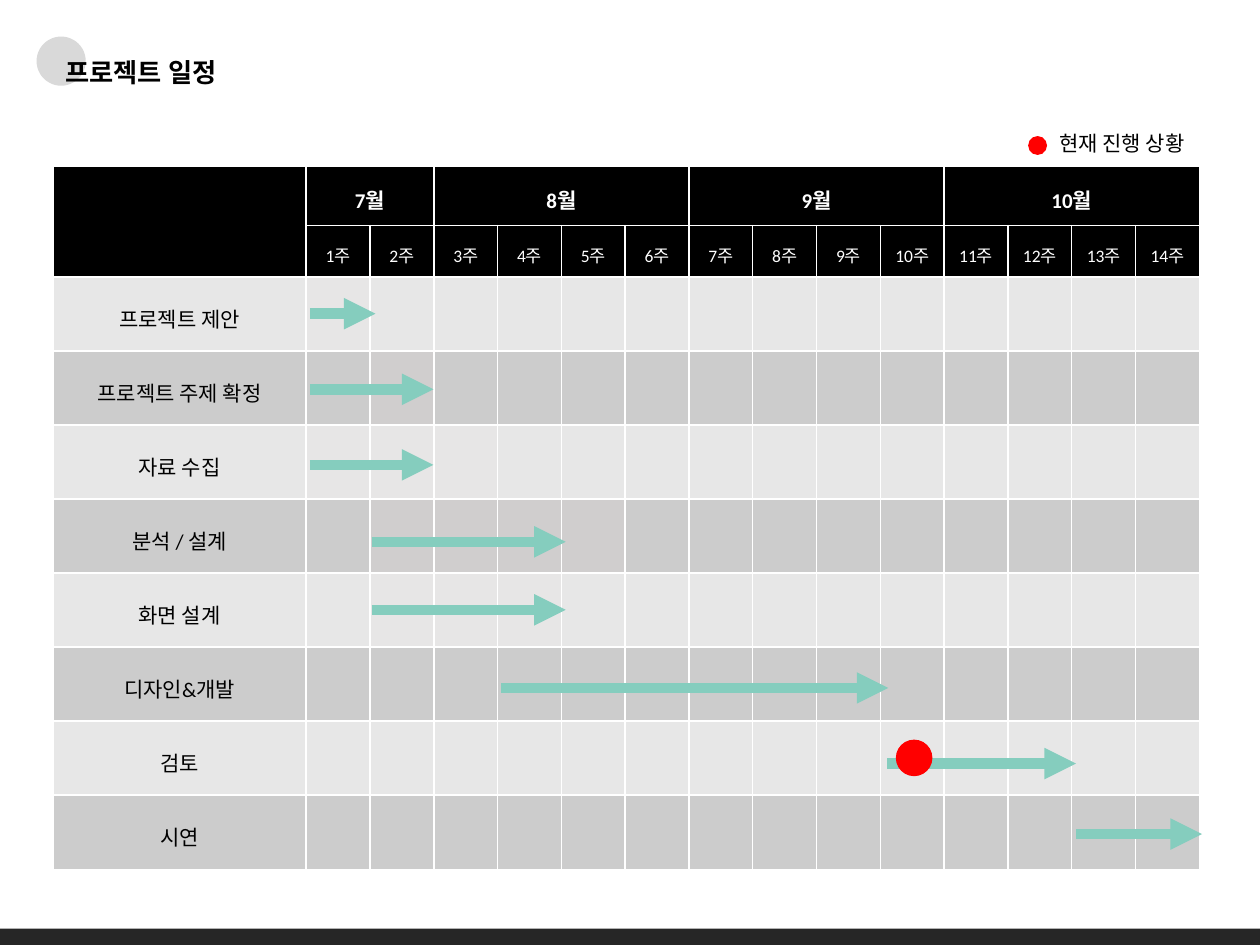
from lxml.etree import SubElement
from pptx import Presentation
from pptx.dml.color import RGBColor
from pptx.enum.shapes import MSO_CONNECTOR, MSO_SHAPE
from pptx.enum.text import MSO_ANCHOR, MSO_AUTO_SIZE, PP_ALIGN
from pptx.oxml.ns import qn
from pptx.util import Inches, Pt

BLACK = RGBColor(0x00, 0x00, 0x00)
WHITE = RGBColor(0xFF, 0xFF, 0xFF)
RED = RGBColor(0xFF, 0x00, 0x00)
TEAL = RGBColor(0x85, 0xCD, 0xBE)
DOT_GRAY = RGBColor(0xD9, 0xD9, 0xD9)
FOOTER_GRAY = RGBColor(0x26, 0x26, 0x26)
# Plain and tinted fill of the alternating task rows
ROW_FILLS = [
    (RGBColor(0xE7, 0xE7, 0xE7), RGBColor(0xE7, 0xE6, 0xE6)),
    (RGBColor(0xCC, 0xCC, 0xCC), RGBColor(0xD0, 0xCE, 0xCE)),
]

WEEKS = 14
MONTHS = [("7월", 2), ("8월", 4), ("9월", 4), ("10월", 4)]
# Task, tinted weeks, arrow start, arrow end, arrow height on the page
TASKS = [
    ("프로젝트 제안", range(1, 2), 2.46, 2.98, 2.49),
    ("프로젝트 주제 확정", range(2, 3), 2.46, 3.44, 3.09),
    ("자료 수집", range(1, 4), 2.46, 3.44, 3.69),
    ("분석 / 설계", range(2, 6), 2.95, 4.49, 4.3),
    ("화면 설계", range(2, 5), 2.95, 4.49, 4.84),
    ("디자인&개발", range(0), 3.98, 7.05, 5.46),
    ("검토", range(0), 7.04, 8.54, 6.06),
    ("시연", range(0), 8.54, 9.54, 6.62),
]
TABLE_WIDTH, TABLE_HEIGHT = 9.1, 5.58
TASK_WIDTH = 2.01
HEADER_HEIGHTS = [0.47, 0.41]


class ScheduleSlide:
    heading_font = "Arial"
    body_font = "Calibri"

    def __init__(self, page):
        self.page = page

    def add_span(self, para, text, size, color=BLACK, bold=False, font=body_font):
        span = para.add_run()
        span.text = text
        span.font.name = font
        span.font.size = Pt(size)
        span.font.bold = bold
        span.font.color.rgb = color

    def title(self, text, left, top, width, height):
        box = self.page.shapes.title
        box.left, box.top = Inches(left), Inches(top)
        box.width, box.height = Inches(width), Inches(height)
        frame = box.text_frame
        frame.auto_size = MSO_AUTO_SIZE.NONE
        frame.vertical_anchor = MSO_ANCHOR.BOTTOM
        para = frame.paragraphs[0]
        para.alignment = PP_ALIGN.LEFT
        para.line_spacing = 0.9
        self.add_span(para, text, 15, bold=True, font=self.heading_font)
        return box

    def shape(self, kind, left, top, width, height, color):
        shape = self.page.shapes.add_shape(
            kind, Inches(left), Inches(top), Inches(width), Inches(height))
        shape.shadow.inherit = False
        shape.fill.solid()
        shape.fill.fore_color.rgb = color
        shape.line.fill.background()
        return shape

    def label(self, text, left, top, width, height):
        box = self.page.shapes.add_textbox(
            Inches(left), Inches(top), Inches(width), Inches(height))
        frame = box.text_frame
        frame.word_wrap = True
        frame.auto_size = MSO_AUTO_SIZE.SHAPE_TO_FIT_TEXT
        self.add_span(frame.paragraphs[0], text, 12)

    def arrow(self, start, end, height):
        arrow = self.page.shapes.add_connector(
            MSO_CONNECTOR.STRAIGHT,
            Inches(start), Inches(height), Inches(end), Inches(height))
        arrow.line.color.rgb = TEAL
        arrow.line.width = Pt(6)
        properties = arrow.element.spPr
        SubElement(properties.get_or_add_ln(), qn("a:tailEnd"), type="triangle")
        SubElement(properties, qn("a:effectLst"))

    def cell(self, cell, fill, text="", size=12, color=BLACK, bold=False):
        properties = cell._tc.get_or_add_tcPr()
        for side in ("a:lnL", "a:lnR", "a:lnT", "a:lnB"):
            border = SubElement(properties, qn(side), w=str(int(Pt(1))))
            paint = SubElement(border, qn("a:solidFill"))
            SubElement(paint, qn("a:srgbClr"), val=str(WHITE))
        cell.fill.solid()
        cell.fill.fore_color.rgb = fill
        cell.margin_left = cell.margin_right = Inches(0.05)
        cell.vertical_anchor = MSO_ANCHOR.MIDDLE
        if text:
            para = cell.text_frame.paragraphs[0]
            para.alignment = PP_ALIGN.CENTER
            para.line_spacing = 1.25
            self.add_span(para, text, size, color, bold)

    def schedule(self, left, top):
        header_count = len(HEADER_HEIGHTS)
        table = self.page.shapes.add_table(
            header_count + len(TASKS), WEEKS + 1, Inches(left), Inches(top),
            Inches(TABLE_WIDTH), Inches(TABLE_HEIGHT)).table

        # Column widths and row heights
        week_width = (TABLE_WIDTH - TASK_WIDTH) / WEEKS
        for index, column in enumerate(table.columns):
            column.width = Inches(week_width if index else TASK_WIDTH)
        task_height = (TABLE_HEIGHT - sum(HEADER_HEIGHTS)) / len(TASKS)
        heights = HEADER_HEIGHTS + [task_height] * len(TASKS)
        for row, height in zip(table.rows, heights):
            row.height = Inches(height)

        # Months and weeks
        month_starts = {}
        week = 1
        for month, length in MONTHS:
            month_starts[week] = month
            table.cell(0, week).merge(table.cell(0, week + length - 1))
            week += length
        table.cell(0, 0).merge(table.cell(1, 0))
        for week in range(WEEKS + 1):
            self.cell(table.cell(0, week), BLACK, month_starts.get(week, ""),
                      12, WHITE, bold=True)
            self.cell(table.cell(1, week), BLACK, f"{week}주" if week else "",
                      10, WHITE)

        # Tasks
        for index, (task, tinted_weeks, *_) in enumerate(TASKS):
            plain, tinted = ROW_FILLS[index % 2]
            for week in range(WEEKS + 1):
                self.cell(table.cell(header_count + index, week),
                          tinted if week in tinted_weeks else plain,
                          "" if week else task)


def main():
    deck = Presentation()
    deck.slide_width, deck.slide_height = Inches(10), Inches(7.5)
    slide = ScheduleSlide(deck.slides.add_slide(deck.slide_layouts[5]))

    # Title over its dot, and the footer bar
    title = slide.title("프로젝트 일정", 0.42, 0.39, 3.37, 0.36)
    dot = slide.shape(MSO_SHAPE.OVAL, 0.29, 0.29, 0.39, 0.39, DOT_GRAY)
    title.element.addprevious(dot.element)
    slide.shape(MSO_SHAPE.RECTANGLE, 0, 7.37, 10, 0.16, FOOTER_GRAY)

    # Schedule with one arrow per task
    slide.schedule(0.42, 1.32)
    for _, _, start, end, height in TASKS:
        slide.arrow(start, end, height)

    # Current progress and its legend
    slide.shape(MSO_SHAPE.OVAL, 7.11, 5.87, 0.29, 0.29, RED)
    slide.shape(MSO_SHAPE.OVAL, 8.16, 1.08, 0.15, 0.15, RED)
    slide.label("현재 진행 상황", 8.31, 0.99, 1.47, 0.3)

    deck.save("out.pptx")


if __name__ == "__main__":
    main()
